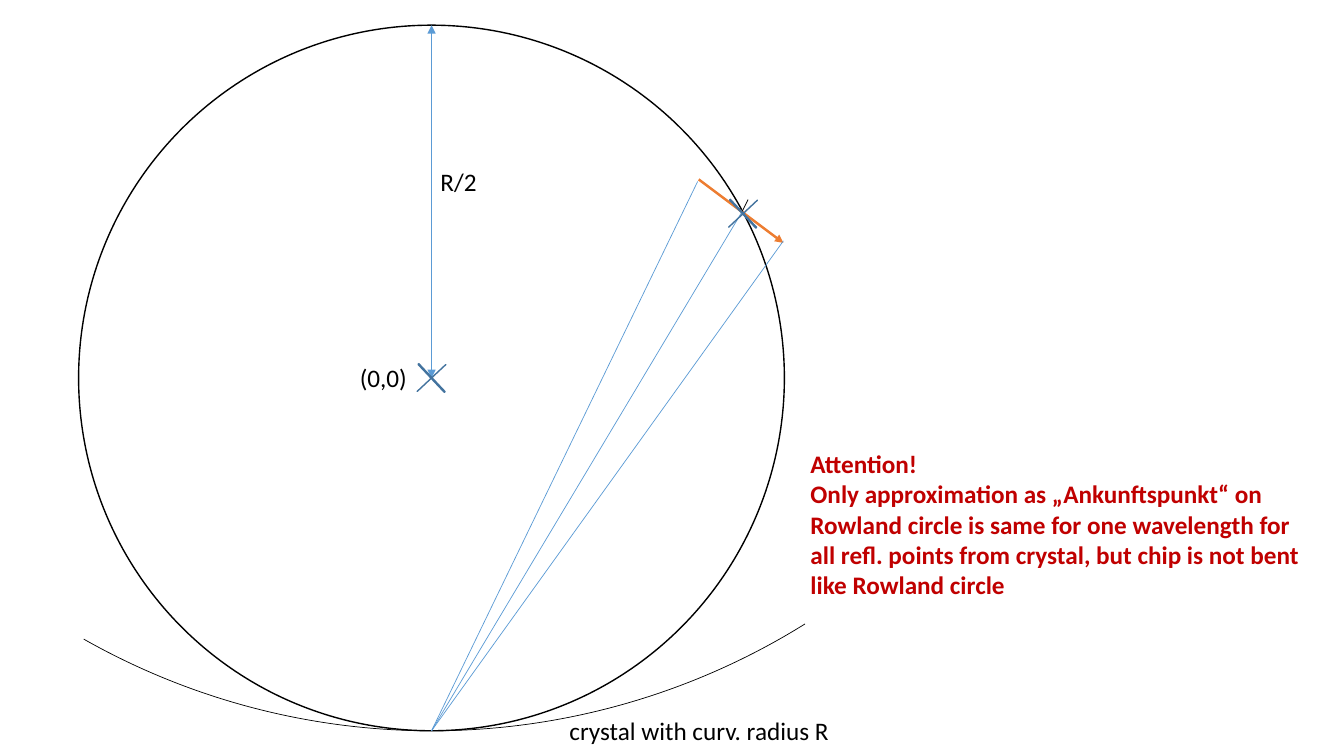
"""Build the Rowland circle slide with its rays, chip and crystal."""
from pptx import Presentation
from pptx.dml.color import RGBColor
from pptx.enum.shapes import MSO_CONNECTOR, MSO_SHAPE as Shape
from pptx.enum.text import MSO_AUTO_SIZE
from pptx.oxml.ns import qn
from pptx.util import Inches, Pt
from lxml.etree import SubElement

BLACK, BLUE, DARK_BLUE, ORANGE, RED = "000000", "5B9BD5", "43739E", "ED7D31", "C00000"
CENTER_X, CENTER_Y, RADIUS = 4.28, 3.75, 3.5
TOP = (CENTER_X, CENTER_Y - RADIUS)
CENTER = (CENTER_X, CENTER_Y)
REFLECTION = (CENTER_X, CENTER_Y + RADIUS)
ARRIVAL = (7.36, 2.1)


def add_outline(kind, center, width, height, color, weight, fill=None):
    shape = slide.shapes.add_shape(
        kind, Inches(center[0] - width / 2), Inches(center[1] - height / 2),
        Inches(width), Inches(height))
    shape.shadow.inherit = False
    if fill:
        shape.fill.solid()
        shape.fill.fore_color.rgb = RGBColor.from_string(fill)
    else:
        shape.fill.background()
    shape.line.color.rgb = RGBColor.from_string(color)
    shape.line.width = Pt(weight)
    return shape


def add_line(start, end, color, weight=0.5, arrow_ends=()):
    line = slide.shapes.add_connector(
        MSO_CONNECTOR.STRAIGHT, *(Inches(value) for value in (*start, *end)))
    line.line.color.rgb = RGBColor.from_string(color)
    line.line.width = Pt(weight)
    properties = line._element.spPr
    for arrow_end in arrow_ends:
        SubElement(properties.find(qn("a:ln")), qn(arrow_end), type="triangle")
    SubElement(properties, qn("a:effectLst"))


presentation = Presentation()
presentation.slide_width = Inches(13.33)
presentation.slide_height = Inches(7.5)
slide = presentation.slides.add_slide(presentation.slide_layouts[6])

add_outline(Shape.OVAL, CENTER, 2 * RADIUS, 2 * RADIUS, BLACK, 1, "FFFFFF")
crystal = add_outline(Shape.ARC, TOP, 4 * RADIUS, 4 * RADIUS, BLACK, 0.5)
crystal.rotation = 135
crystal.adjustments[0] = 169.83
crystal.adjustments[1] = 206.72

add_line(TOP, CENTER, BLUE, arrow_ends=("a:headEnd", "a:tailEnd"))
add_line(REFLECTION, ARRIVAL, BLUE)
add_line((6.93, 1.78), (7.77, 2.41), ORANGE, 1.75, ("a:tailEnd",))
for chip_end in ((6.92, 1.8), (7.77, 2.39)):
    add_line(REFLECTION, chip_end, BLUE)
add_line(ARRIVAL, (7.42, 1.98), BLACK)

for point in (CENTER, (7.37, 2.12)):
    cross = add_outline(Shape.CROSS, point, 0.38, 0.39, DARK_BLUE, 1, BLUE)
    cross.rotation = 46.8
    cross.adjustments[0] = 0.5

warning = (
    "Attention!\nOnly approximation as „Ankunftspunkt“ on Rowland circle is same "
    "for one wavelength for all refl. points from crystal, but chip is not bent "
    "like Rowland circle")
labels = (
    ("(0,0)", 3.47, 3.55, 0.68, 0.4, BLACK, False),
    ("R/2", 4.27, 1.6, 0.56, 0.4, BLACK, False),
    ("crystal with curv. radius R", 5.55, 7.05, 2.8, 0.4, BLACK, False),
    (warning, 7.94, 4.4, 5.2, 1.62, RED, True),
)
for text, left, top, width, height, color, emphasized in labels:
    box = slide.shapes.add_textbox(
        Inches(left), Inches(top), Inches(width), Inches(height))
    frame = box.text_frame
    frame.word_wrap = emphasized
    frame.auto_size = MSO_AUTO_SIZE.SHAPE_TO_FIT_TEXT
    paragraph = frame.paragraphs[0]
    paragraph.text = text
    paragraph.font.name = "Calibri"
    paragraph.font.size = Pt(18)
    paragraph.font.bold = emphasized
    paragraph.font.color.rgb = RGBColor.from_string(color)

presentation.save("out.pptx")
